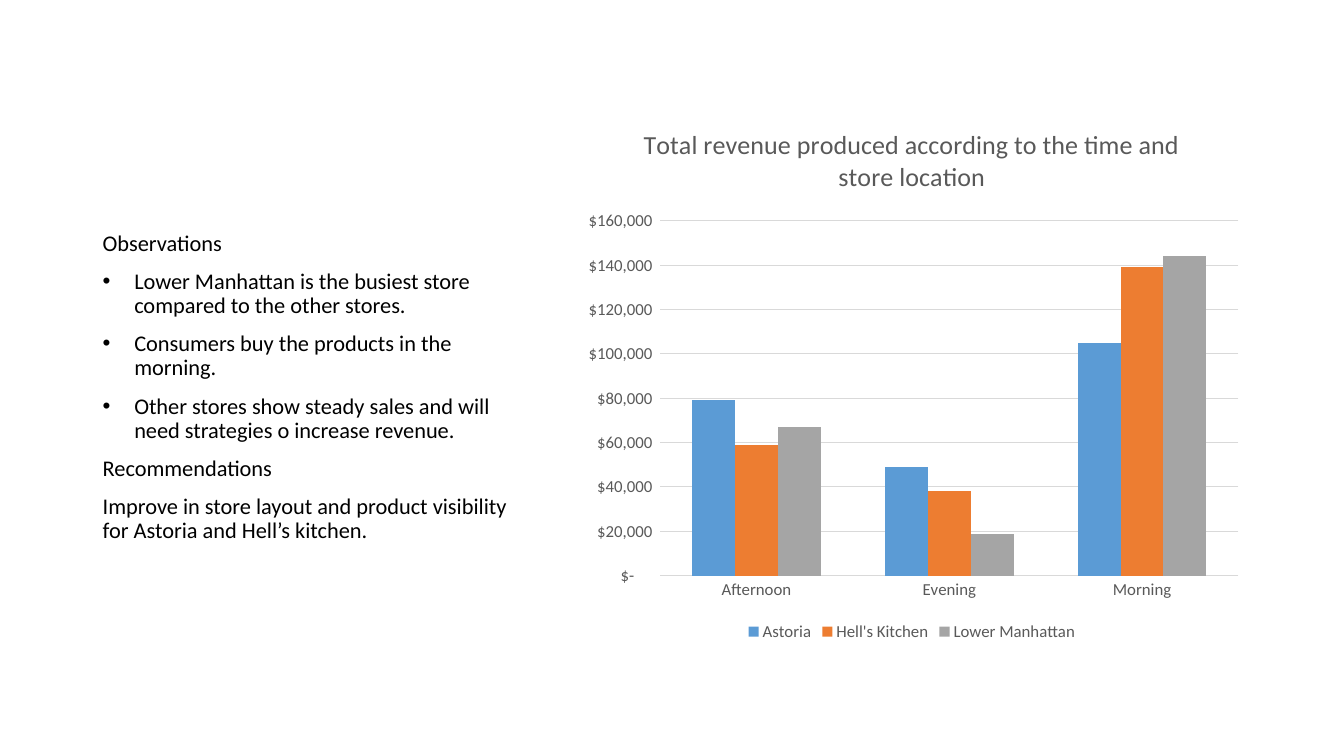
from dataclasses import dataclass

from lxml.etree import SubElement
from pptx import Presentation
from pptx.chart.data import CategoryChartData
from pptx.dml.color import RGBColor
from pptx.enum.chart import XL_CHART_TYPE as ChartType
from pptx.enum.chart import XL_LEGEND_POSITION as LegendPos
from pptx.enum.chart import XL_TICK_MARK as TickMark
from pptx.enum.text import MSO_ANCHOR, MSO_AUTO_SIZE, PP_ALIGN
from pptx.oxml import parse_xml
from pptx.oxml.ns import nsdecls, qn
from pptx.util import Pt

FONT = "Calibri"
BLACK, GREY, PALE = "000000", "595959", "D9D9D9"
MONEY = r'_("$"* #,##0_);_("$"* \(#,##0\);_("$"* "-"??_);_(@_)'
INDENT = 22.5


@dataclass
class Note:
    text: str
    bullet: bool = False


@dataclass
class Store:
    name: str
    revenue: tuple[int, ...]
    color: str


NOTES = [
    Note("Observations"),
    Note("Lower Manhattan is the busiest store compared to the other stores.", True),
    Note("Consumers buy the products in the morning.", True),
    Note("Other stores show steady sales and will need strategies o increase revenue.", True),
    Note("Recommendations"),
    Note("Improve in store layout and product visibility for Astoria and Hell’s kitchen."),
]
TITLE_LINES = ["Total revenue produced according to the time and", "store location"]
TIMES = ["Afternoon", "Evening", "Morning"]
STORES = [
    Store("Astoria", (79000, 49000, 105000), "5B9BD5"),
    Store("Hell's Kitchen", (59000, 38000, 139000), "ED7D31"),
    Store("Lower Manhattan", (67000, 19000, 144000), "A5A5A5"),
]


def rgb(color: str) -> RGBColor:
    return RGBColor.from_string(color)


def set_font(font, size: float, color: str) -> None:
    font.name, font.size, font.bold = FONT, Pt(size), False
    font.color.rgb = rgb(color)


def set_line(line) -> None:
    line.color.rgb = rgb(PALE)
    line.width = Pt(0.75)


def add_note(p, note: Note) -> None:
    p.alignment = PP_ALIGN.LEFT
    p.line_spacing, p.space_before, p.space_after = 0.9, Pt(10), Pt(0)
    pPr = p._p.get_or_add_pPr()
    pPr.set("marL", str(Pt(INDENT if note.bullet else 0)))
    pPr.set("indent", str(Pt(-INDENT if note.bullet else 0)))
    if note.bullet:
        SubElement(pPr, qn("a:buFont")).set("typeface", "Arial")
        SubElement(pPr, qn("a:buChar")).set("char", "•")
    else:
        SubElement(pPr, qn("a:buNone"))
    r = p.add_run()
    r.text = note.text
    set_font(r.font, 16, BLACK)


def add_notes(s) -> None:
    body = s.placeholders[1]
    body.left, body.top, body.width, body.height = Pt(66.2), Pt(162), Pt(309.6), Pt(300)
    tf = body.text_frame
    tf.word_wrap, tf.auto_size = True, MSO_AUTO_SIZE.NONE
    tf.vertical_anchor = MSO_ANCHOR.TOP
    for i, note in enumerate(NOTES):
        add_note(tf.add_paragraph() if i else tf.paragraphs[0], note)


def add_revenue_chart(s) -> None:
    data = CategoryChartData(number_format=MONEY)
    data.categories = TIMES
    for store in STORES:
        data.add_series(store.name, store.revenue)
    chart = s.shapes.add_chart(ChartType.COLUMN_CLUSTERED, Pt(408.4), Pt(77.2),
                               Pt(486), Pt(384), data).chart
    set_font(chart.font, 12, GREY)

    # Title and legend
    chart.has_title = True
    tf = chart.chart_title.text_frame
    for i, line in enumerate(TITLE_LINES):
        p = tf.add_paragraph() if i else tf.paragraphs[0]
        r = p.add_run()
        r.text = line
        set_font(r.font, 18.6, GREY)
    chart.chart_title.include_in_layout = False
    chart.has_legend = True
    chart.legend.position = LegendPos.BOTTOM
    chart.legend.include_in_layout = False
    set_font(chart.legend.font, 12, GREY)

    # Columns
    plot = chart.plots[0]
    plot.gap_width, plot.overlap, plot.vary_by_categories = 150, 0, False
    for series, store in zip(plot.series, STORES):
        series.format.fill.solid()
        series.format.fill.fore_color.rgb = rgb(store.color)
        series.invert_if_negative = False

    # Axes
    times, money = chart.category_axis, chart.value_axis
    for axis in (times, money):
        axis.major_tick_mark = axis.minor_tick_mark = TickMark.NONE
        set_font(axis.tick_labels.font, 12, GREY)
    set_line(times.format.line)
    money.format.line.fill.background()
    money.minimum_scale, money.maximum_scale, money.major_unit = 0, 160000, 20000
    money.has_major_gridlines = True
    set_line(money.major_gridlines.format.line)
    money.tick_labels.number_format = MONEY
    money.tick_labels.number_format_is_linked = False

    # Inner plot area as fractions of the chart
    area = chart._chartSpace.chart.plotArea
    for old in area.findall(qn("c:layout")):
        area.remove(old)
    box = {"x": 0.13, "y": 0.21, "w": 0.85, "h": 0.66}
    modes = "".join(f'<c:{k}Mode val="edge"/>' for k in "xy")
    sizes = "".join(f'<c:{k} val="{v}"/>' for k, v in box.items())
    area.insert(0, parse_xml(
        f'<c:layout {nsdecls("c")}><c:manualLayout><c:layoutTarget val="inner"/>'
        f"{modes}{sizes}</c:manualLayout></c:layout>"))


def main() -> None:
    prs = Presentation()
    prs.slide_width, prs.slide_height = Pt(960), Pt(540)
    s = prs.slides.add_slide(prs.slide_layouts[1])
    # The slide has no title of its own
    title = s.shapes.title._element
    title.getparent().remove(title)
    add_revenue_chart(s)
    add_notes(s)
    prs.save("out.pptx")


if __name__ == "__main__":
    main()
